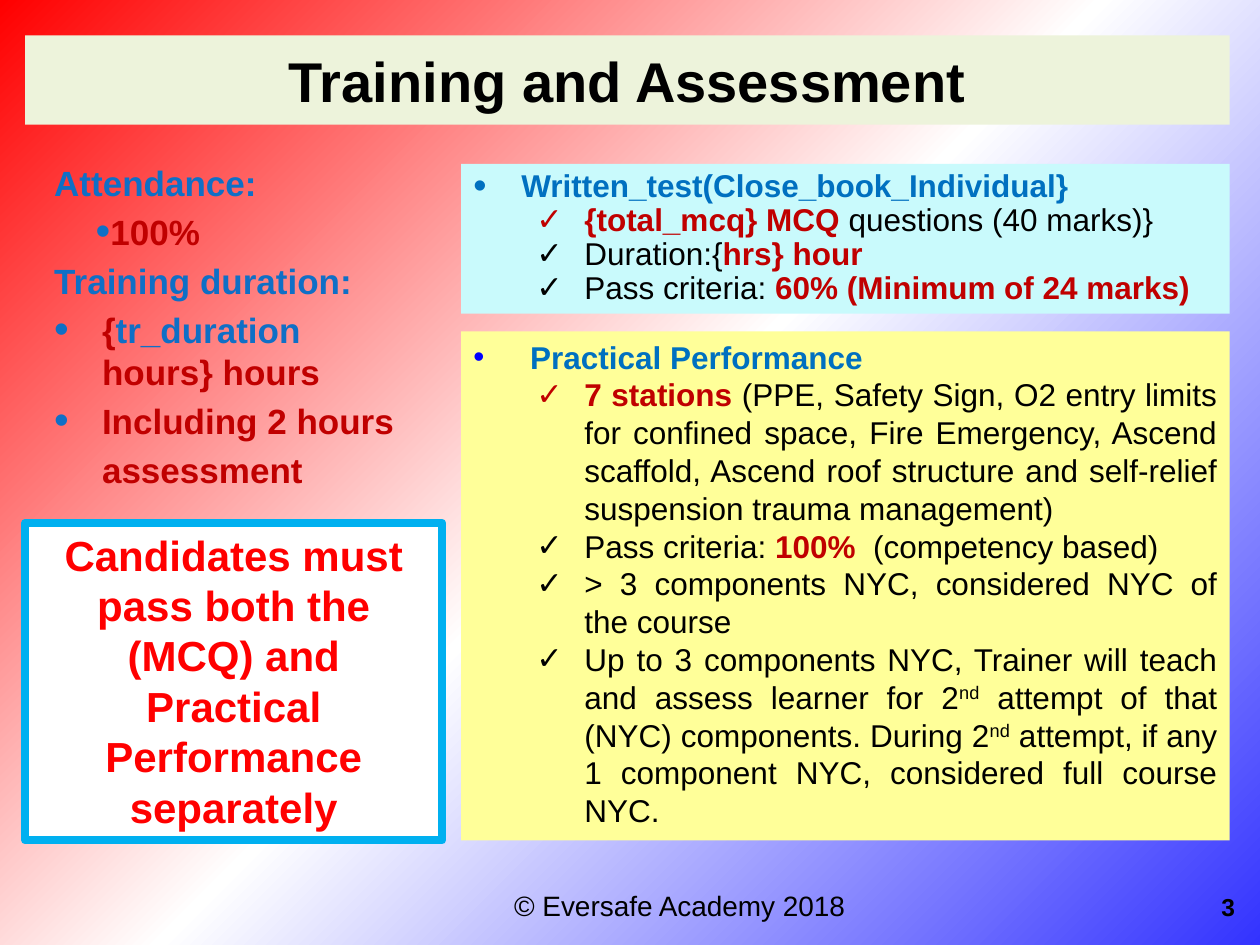
import copy

import pptx
import pptx.dml.color
import pptx.enum.shapes
import pptx.enum.text
import pptx.oxml
import pptx.oxml.ns
import pptx.util
from pptx.util import Inches

ALIGN = pptx.enum.text.PP_ALIGN
ANCHOR = pptx.enum.text.MSO_ANCHOR
BLACK, RED, BLUE, SKY = "000000", "C00000", "0070C0", "0F6FC6"


def rgb(color):
    return pptx.dml.color.RGBColor.from_string(color)


def write(paragraph, text, size=18, color=BLACK, bold=False, superscript=False):
    run = paragraph.add_run()
    run.text = text
    run.font.name = "Arial"
    run.font.size = pptx.util.Pt(size)
    run.font.bold = bold
    run.font.color.rgb = rgb(color)
    if superscript:
        run._r.get_or_add_rPr().set("baseline", "30000")


def add_bullet(properties, tag, **attributes):
    element = pptx.oxml.parse_xml(f"<a:{tag} {pptx.oxml.ns.nsdecls('a')}/>")
    for name, value in attributes.items():
        element.set(name, value)
    properties.append(element)
    return element


def set_bullet(paragraph, bullet, margin, indent, color=None, percent=100):
    properties = paragraph._p.get_or_add_pPr()
    properties.set("marL", str(Inches(margin)))
    properties.set("indent", str(Inches(indent)))
    if not bullet:
        add_bullet(properties, "buNone")
        return
    if color:
        holder = add_bullet(properties, "buClr")
        add_bullet(holder, "srgbClr", val=color)
    add_bullet(properties, "buSzPct", val=str(percent * 1000))
    add_bullet(properties, "buFont", typeface="Arial")
    add_bullet(properties, "buChar", char=bullet)


def item(*runs, level=0, bullet=None, margin=0, indent=0, align=ALIGN.LEFT, **marker):
    """Describe one paragraph; each run is (text, format)."""
    return dict(runs=runs, level=level, align=align,
                bullet=dict(bullet=bullet, margin=margin, indent=indent, **marker))


def check(*runs, **options):
    return item(*runs, level=1, bullet="✓", margin=0.88, indent=-0.38, **options)


class SlideBuilder:
    def __init__(self, presentation):
        self.slide = presentation.slides.add_slide(presentation.slide_layouts[1])

    def background(self, colors, angle):
        fill = self.slide.background.fill
        fill.gradient()
        fill.gradient_angle = angle
        first = next(self.slide._element.iter(pptx.oxml.ns.qn("a:gs")))
        first.addnext(copy.deepcopy(first))
        for index, (stop, color) in enumerate(zip(fill.gradient_stops, colors)):
            stop.color.rgb = rgb(color)
            stop.position = index / (len(colors) - 1)

    def fill_text(self, shape, items, anchor=ANCHOR.TOP, gap=0, spacing=1.0, **style):
        frame = shape.text_frame
        frame.word_wrap = True
        frame.auto_size = pptx.enum.text.MSO_AUTO_SIZE.NONE
        frame.vertical_anchor = anchor
        for index, entry in enumerate(items):
            paragraph = frame.add_paragraph() if index else frame.paragraphs[0]
            paragraph.level = entry["level"]
            set_bullet(paragraph, **entry["bullet"])
            paragraph.alignment = entry["align"]
            paragraph.line_spacing = spacing
            paragraph.space_before = pptx.util.Pt(gap if index else 0)
            for text, form in entry["runs"]:
                write(paragraph, text, **{**style, **form})

    def placeholder(self, index, box, items, fill=None, **style):
        shape = self.slide.placeholders[index]
        shape.left, shape.top, shape.width, shape.height = map(Inches, box)
        if fill:
            shape.fill.solid()
            shape.fill.fore_color.rgb = rgb(fill)
        self.fill_text(shape, items, **style)

    def panel(self, box, items, fill, line=None, **style):
        shape = self.slide.shapes.add_shape(
            pptx.enum.shapes.MSO_SHAPE.RECTANGLE, *map(Inches, box))
        shape.shadow.inherit = False
        shape.fill.solid()
        shape.fill.fore_color.rgb = rgb(fill)
        if line:
            shape.line.color.rgb = rgb(line)
            shape.line.width = pptx.util.Pt(4.5)
        else:
            shape.line.fill.background()
        self.fill_text(shape, items, **style)

    def label(self, box, items, **style):
        self.fill_text(self.slide.shapes.add_textbox(*map(Inches, box)), items, **style)


def main():
    presentation = pptx.Presentation()
    presentation.slide_width, presentation.slide_height = Inches(10), Inches(7.5)
    builder = SlideBuilder(presentation)
    builder.background(["3333FF", "FFFFFF", "FF0000"], angle=135)

    red_bold = dict(color=RED, bold=True)
    blue_bold = dict(color=BLUE, bold=True)
    sky = dict(color=SKY)
    raised = dict(superscript=True)

    # Title
    builder.placeholder(
        0, (0.2, 0.28, 9.56, 0.71),
        [item(("Training and Assessment", {}), align=ALIGN.CENTER)],
        fill="EDF3DB", anchor=ANCHOR.MIDDLE, size=32, bold=True)

    # Attendance and duration
    dot = dict(bullet="•", color=SKY, percent=120)
    hanging = dict(dot, margin=0.38, indent=-0.38)
    builder.placeholder(1, (0.33, 1.23, 3.01, 3.78), [
        item(("Attendance:", sky)),
        item(("100%", {}), level=1, indent=0.33, **dot),
        item(("Training duration:", sky)),
        item(("{", {}), ("tr_duration ", sky), ("hours} hours", {}), **hanging),
        item(("Including 2 hours", {}), **hanging),
        item(("assessment", {}), margin=0.38),
    ], gap=4, size=20, color=RED, bold=True)

    # Practical performance
    builder.panel((3.66, 2.63, 6.1, 4.04), [
        item(("Practical Performance", blue_bold),
             bullet="•", margin=0.45, indent=-0.45, color="0000FF"),
        check(("7 stations ", red_bold),
              ("(PPE, Safety Sign, O2 entry limits for confined space, Fire Emergency, "
               "Ascend scaffold, Ascend roof structure and self-relief suspension "
               "trauma management)", {}), align=ALIGN.JUSTIFY),
        check(("Pass criteria: ", {}), ("100%  ", red_bold),
              ("(competency based)", {}), align=ALIGN.JUSTIFY),
        check(("> 3 components NYC, considered NYC of the course", {}),
              align=ALIGN.JUSTIFY),
        check(("Up to 3 components NYC, Trainer will teach and assess learner for 2", {}),
              ("nd", raised),
              (" attempt of that (NYC) components. During 2", {}),
              ("nd", raised),
              (" attempt, if any 1 component NYC, considered full course NYC.", {}),
              align=ALIGN.JUSTIFY),
    ], fill="FFFF99")

    # Passing rule
    builder.panel(
        (0.2, 4.15, 3.31, 2.52),
        [item(("Candidates must pass both the (MCQ) and Practical Performance separately",
               {}), align=ALIGN.CENTER)],
        fill="FFFFFF", line="00B0F0", size=24, color="FF0000", bold=True)

    # Written test
    builder.panel((3.66, 1.3, 6.1, 1.19), [
        item(("Written_test(Close_book_Individual}", blue_bold),
             bullet="•", margin=0.38, indent=-0.38, percent=120),
        check(("{total_mcq} MCQ ", red_bold), ("questions (40 marks)}", {})),
        check(("Duration:{", {}), ("hrs} hour", red_bold)),
        check(("Pass criteria: ", {}), ("60% (Minimum of 24 marks)", red_bold)),
    ], fill="C9FAFC", spacing=0.9)

    # Footer and slide number
    builder.label((3.98, 7, 2.83, 0.37),
                  [item(("© Eversafe Academy 2018", {}), align=ALIGN.CENTER)], size=16)
    builder.label((8.94, 6.95, 0.96, 0.5), [item(("3", {}), align=ALIGN.RIGHT)],
                  anchor=ANCHOR.MIDDLE, size=14, bold=True)

    presentation.save("out.pptx")


if __name__ == "__main__":
    main()
